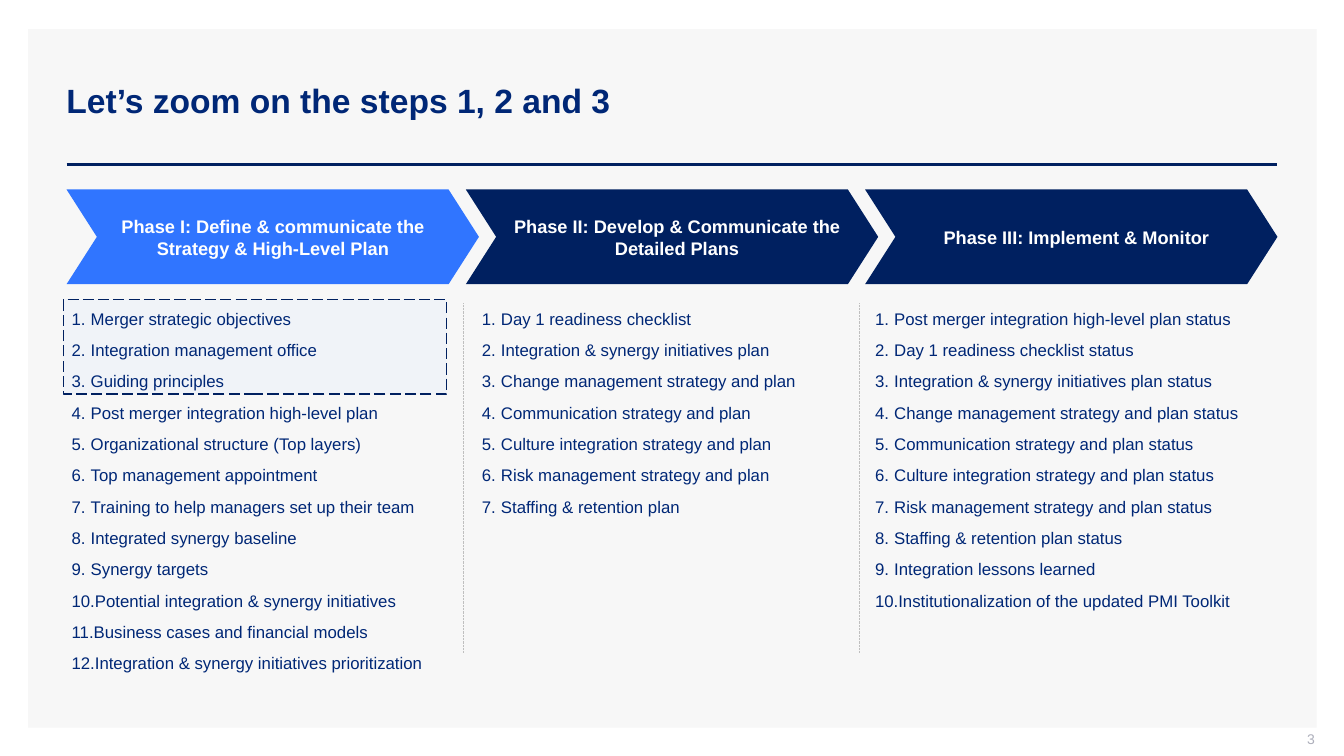
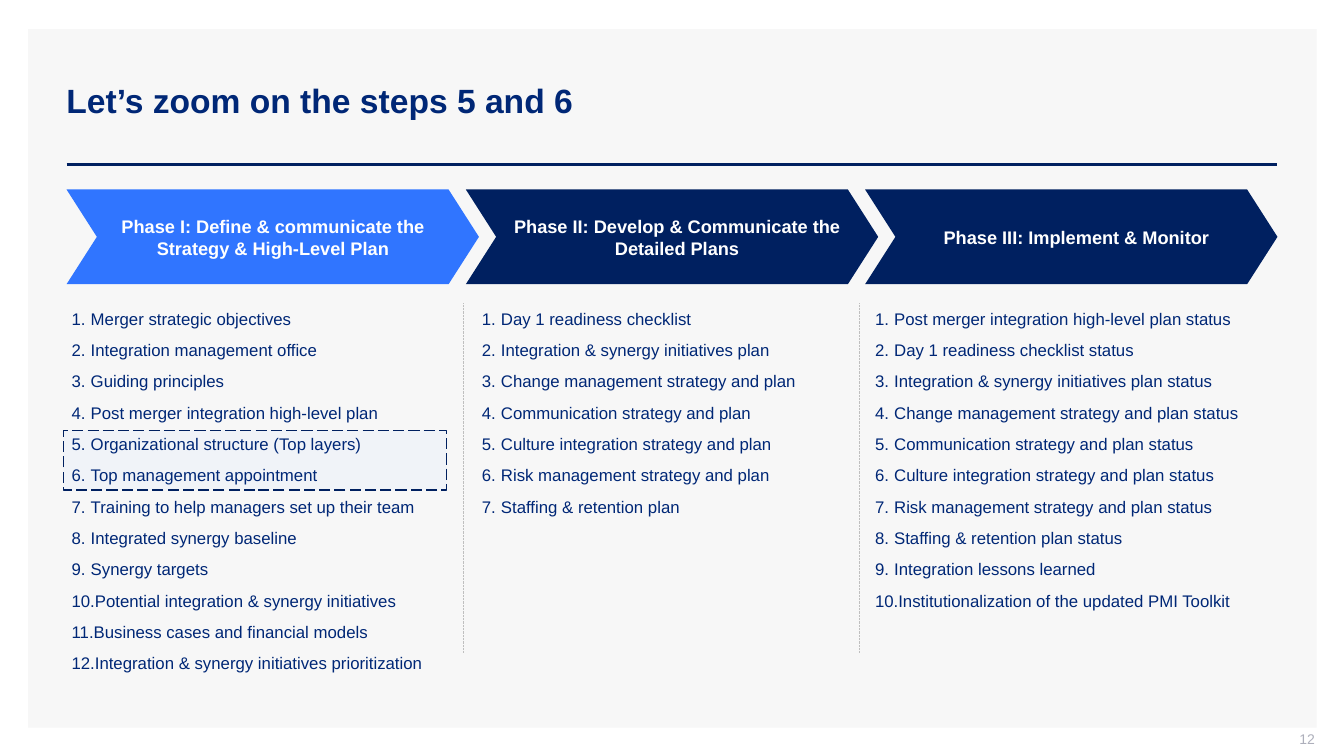
from lxml import etree
from pptx import Presentation, util as u
from pptx.dml.color import RGBColor
from pptx.enum import dml, shapes, text
from pptx.oxml.ns import qn

NAVY, INK, BLUE = "002060", "002776", "3075FF"
WHITE, PALE, TINT = "FFFFFF", "F7F7F7", "D6E3FF"
GREY, ASH = "BFBFBF", "ADAFBB"
LEFT, RIGHT = 0.66, 12.67
STEP, WIDE = 3.96, 4.09
TOP = 3.01
EVEN, SKEW = (0.04, 0.05, 0.04, 0.05), (0.1, 0.05, 0, 0.05)
PLAIN = (0.1, 0.05, 0.1, 0.05)

PHASES = [
    ("Phase I: Define & communicate the Strategy & High-Level Plan", BLUE, EVEN),
    ("Phase II: Develop & Communicate the Detailed Plans", NAVY, SKEW),
    ("Phase III: Implement & Monitor", NAVY, SKEW),
]
LISTS = [
    ((0.71, TOP, 3.89, 3.76), (0, 0.05, 0.1, 0.05), [
        "Merger strategic objectives",
        "Integration management office",
        "Guiding principles",
        "Post merger integration high-level plan",
        "Organizational structure (Top layers)",
        "Top management appointment",
        "Training to help managers set up their team",
        "Integrated synergy baseline",
        "Synergy targets",
        "Potential integration & synergy initiatives",
        "Business cases and financial models",
        "Integration & synergy initiatives prioritization",
    ]),
    ((4.68, TOP, 3.78, 2.19), PLAIN, [
        "Day 1 readiness checklist",
        "Integration & synergy initiatives plan",
        "Change management strategy and plan",
        "Communication strategy and plan",
        "Culture integration strategy and plan",
        "Risk management strategy and plan",
        "Staffing & retention plan",
    ]),
    ((8.58, TOP, 4.09, 3.13), PLAIN, [
        "Post merger integration high-level plan status",
        "Day 1 readiness checklist status",
        "Integration & synergy initiatives plan status",
        "Change management strategy and plan status",
        "Communication strategy and plan status",
        "Culture integration strategy and plan status",
        "Risk management strategy and plan status",
        "Staffing & retention plan status",
        "Integration lessons learned",
        "Institutionalization of the updated PMI Toolkit",
    ]),
]
ZOOMS = [
    ("Let’s zoom on the steps 1, 2 and 3", "3", 2.97, 0.94),
    ("Let’s zoom on the steps 5 and 6", "12", 4.27, 0.59),
]


def color(code):
    return RGBColor.from_string(code)


def inch(nums):
    return [u.Inches(n) for n in nums]


def write(shape, lines, size=12, ink=INK, bold=False, align="LEFT",
          anchor="TOP", pad=PLAIN, gap=0, count=False):
    frame = shape.text_frame
    frame.word_wrap = True
    frame.vertical_anchor = text.MSO_ANCHOR[anchor]
    (frame.margin_left, frame.margin_top,
     frame.margin_right, frame.margin_bottom) = inch(pad)
    for num, line in enumerate(lines):
        para = frame.add_paragraph() if num else frame.paragraphs[0]
        para.alignment = text.PP_ALIGN[align]
        para.space_before = para.space_after = u.Pt(gap)
        run = para.add_run()
        run.text = line
        font = run.font
        font.name, font.size, font.bold = "Arial", u.Pt(size), bold
        font.color.rgb = color(ink)
        if count:
            props = para._p.get_or_add_pPr()
            props.set("marL", str(u.Inches(0.19)))
            props.set("indent", str(u.Inches(-0.19)))
            etree.SubElement(props, qn("a:buAutoNum"), type="arabicPeriod")


class Deck:
    """Holds the shared style and the slide being drawn."""

    def __init__(self):
        self.show = Presentation()
        self.show.slide_width, self.show.slide_height = inch((13.33, 7.5))
        self.slide = None

    def start(self, title, page):
        self.slide = self.show.slides.add_slide(self.show.slide_layouts[6])
        self.block("RECTANGLE", (0.28, 0.29, 12.78, 6.93), PALE)
        self.rule((LEFT, 1.63, RIGHT, 1.63), NAVY, 2)
        self.label((0.56, 0.4, 12.11, 1.19), [title],
                   size=24, bold=True, anchor="MIDDLE")
        self.label((10.04, 7.25, 3, 0.21), [page], size=10, ink=ASH,
                   align="RIGHT", anchor="MIDDLE", pad=(0.1, 0, 0, 0.05))

    def block(self, kind, box, fill):
        shape = self.slide.shapes.add_shape(
            shapes.MSO_SHAPE[kind], *inch(box))
        shape.shadow.inherit = False
        shape.fill.solid()
        shape.fill.fore_color.rgb = color(fill)
        shape.line.fill.background()
        return shape

    def rule(self, ends, ink, width, dash=None):
        line = self.slide.shapes.add_connector(
            shapes.MSO_CONNECTOR.STRAIGHT, *inch(ends))
        line.line.color.rgb = color(ink)
        line.line.width = u.Pt(width)
        line.line.dash_style = dash
        etree.SubElement(line._element.spPr, qn("a:effectLst"))

    def label(self, box, lines, **look):
        shape = self.slide.shapes.add_textbox(*inch(box))
        write(shape, lines, **look)
        return shape

    def focus(self, top, high):
        shape = self.block("RECTANGLE", (0.63, top, 3.8, high), TINT)
        tone = shape._element.spPr.find(".//" + qn("a:srgbClr"))
        etree.SubElement(tone, qn("a:alpha"), val="20000")
        shape.line.color.rgb = color(NAVY)
        shape.line.width = u.Pt(1)
        shape.line.dash_style = dml.MSO_LINE.LONG_DASH

    def phase(self, num, name, fill, pad):
        shape = self.block(
            "CHEVRON", (LEFT + num * STEP, 1.88, WIDE, 0.94), fill)
        shape.adjustments[0] = 0.32
        write(shape, [name], size=13, ink=WHITE, bold=True,
              align="CENTER", anchor="MIDDLE", pad=pad, gap=6)

    def steps(self, box, pad, names):
        shape = self.label(box, names, pad=pad, gap=4, count=True)
        shape.text_frame.auto_size = text.MSO_AUTO_SIZE.SHAPE_TO_FIT_TEXT


def main():
    deck = Deck()
    for title, page, top, high in ZOOMS:
        deck.start(title, page)
        deck.focus(top, high)
        for num, phase in enumerate(PHASES):
            deck.phase(num, *phase)
        for x in (4.6, 8.52):
            deck.rule((x, TOP, x, 6.47), GREY, 0.5, dml.MSO_LINE.ROUND_DOT)
        for group in LISTS:
            deck.steps(*group)
    deck.show.save("out.pptx")


if __name__ == "__main__":
    main()
